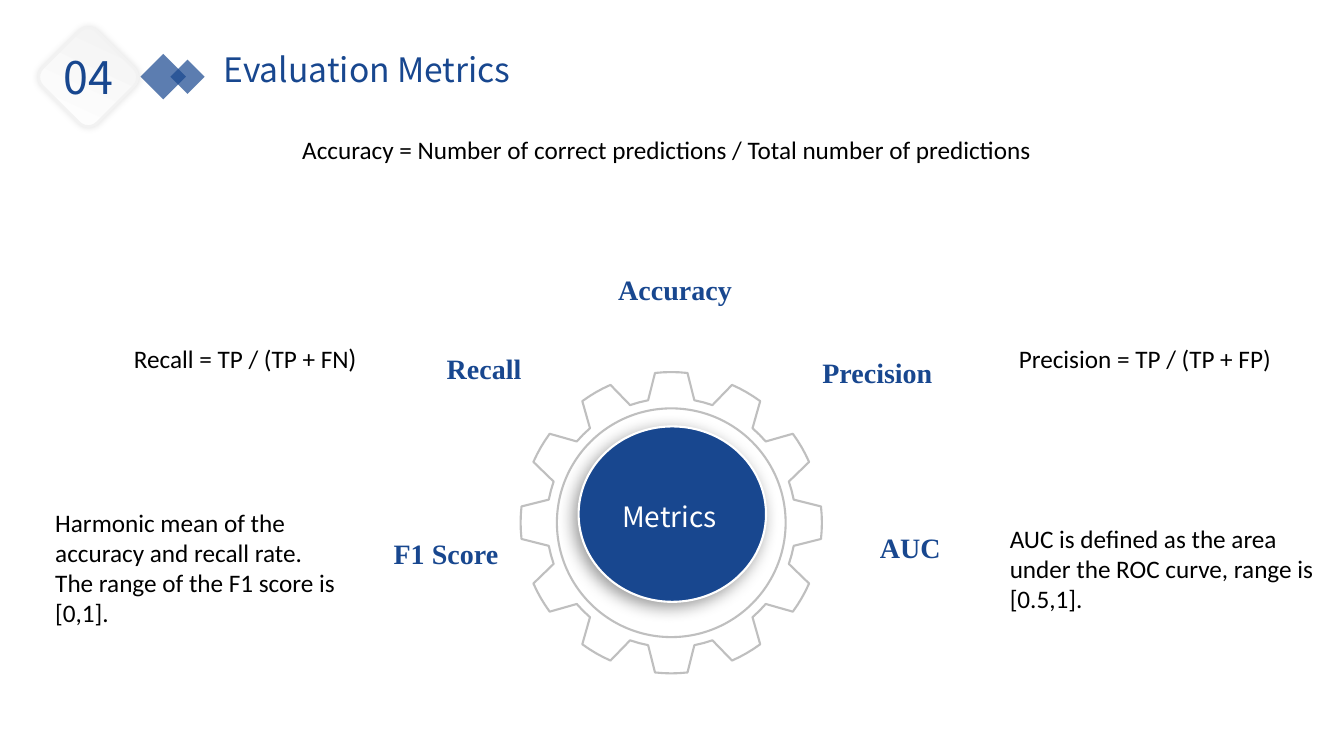
from math import cos, radians, sin

from lxml import etree
from pptx import Presentation
from pptx.dml.color import RGBColor
from pptx.enum.shapes import MSO_SHAPE
from pptx.enum.text import MSO_ANCHOR, PP_ALIGN
from pptx.oxml.ns import qn
from pptx.util import Pt

LEFT, CENTER, RIGHT = PP_ALIGN.LEFT, PP_ALIGN.CENTER, PP_ALIGN.RIGHT
TOP, MIDDLE = MSO_ANCHOR.TOP, MSO_ANCHOR.MIDDLE
RECTANGLE, OVAL = MSO_SHAPE.RECTANGLE, MSO_SHAPE.OVAL
ROUNDED = MSO_SHAPE.ROUNDED_RECTANGLE

BLUE = RGBColor(0x18, 0x47, 0x8F)
WHITE = RGBColor(0xFF, 0xFF, 0xFF)
BLACK = RGBColor(0, 0, 0)
GRAY = RGBColor(0xBF, 0xBF, 0xBF)
PALE = RGBColor(0xF2, 0xF2, 0xF2)
HEADING, LABEL, BODY, BRACKET = "Noto Sans CJK SC", "Times New Roman", "Calibri", "Lato"

TITLE = ("Evaluation Metrics", (152.6, 31, 234, 36))
NUMBER = ("04", (38.2, 31.7, 52.6, 46))
HUB = ("Metrics", (410.4, 338.4, 135.4, 60.5))
LABEL_SIZE = (245.5, 48.2)
LABELS = [
    ("F1 Score", 195.8, 367.2, CENTER),
    ("Precision", 580.3, 238.3, LEFT),
    ("Recall", 134, 235.4, RIGHT),
    ("Accuracy", 284.4, 179.3, RIGHT),
]
AUC = ("AUC", (621.4, 375.1, 63.4, 31.7))
FORMULAS = [
    ("Recall = TP / (TP + FN", ")", (88.6, 241.9, 175.7, 28.8)),
    ("Accuracy = Number of correct predictions / Total number of predictions", "",
     (208.8, 92.2, 541.4, 28.8)),
    ("Precision = TP / (TP + FP)", "", (720.7, 241.9, 196.6, 28.8)),
]
NOTES = [
    ("Harmonic mean of the accuracy and recall rate.\nThe range of the F1 score is [0,1].",
     (32.4, 358.6, 242.6, 94.3)),
    ("AUC is defined as the area under the ROC curve, range is [0.5,1].",
     (714.2, 370.1, 245.5, 72.7)),
]
DIAMONDS = [(105.1, 43.2, 23), (125.3, 46.1, 17.3)]

GEAR_X, GEAR_Y = 479.5, 373.4
TEETH, TIP_RADIUS, ROOT_RADIUS, RING_RADIUS = 12, 107.6, 89, 81.7
TOOTH = [(-10.7, ROOT_RADIUS), (-6.2, TIP_RADIUS), (-3, TIP_RADIUS), (0, TIP_RADIUS),
         (3, TIP_RADIUS), (6.2, TIP_RADIUS), (10.7, ROOT_RADIUS), (15, ROOT_RADIUS)]


def points(box):
    return [Pt(length) for length in box]


def write_text(shape, text, font=BODY, size=18, color=BLACK, bold=False, align=LEFT,
               anchor=TOP, wrap=True, spacing=None):
    frame = shape.text_frame
    frame.text = text
    frame.word_wrap = wrap
    frame.vertical_anchor = anchor
    for paragraph in frame.paragraphs:
        paragraph.alignment = align
        paragraph.line_spacing = spacing
        for run in paragraph.runs:
            run.font.name, run.font.size, run.font.bold = font, Pt(size), bold
            run.font.color.rgb = color
    return frame.paragraphs[-1]


def add_text(slide, text, box, **style):
    return write_text(slide.shapes.add_textbox(*points(box)), text, **style)


def add_figure(slide, kind, box, rotation=0):
    shape = slide.shapes.add_shape(kind, *points(box))
    shape.rotation = rotation
    shape.shadow.inherit = False
    return shape


def set_outline(shape, color, width):
    shape.line.color.rgb = color
    shape.line.width = Pt(width)


def add_alpha(color_element, percent):
    etree.SubElement(color_element, qn("a:alpha"), val=str(percent * 1000))


def add_shadow(shape, alpha, blur, distance, angle):
    effects = shape.element.spPr.find(qn("a:effectLst"))
    shadow = etree.SubElement(effects, qn("a:outerShdw"), blurRad=str(Pt(blur)),
                              dist=str(Pt(distance)), dir=str(angle * 60000),
                              algn="ctr", rotWithShape="0")
    add_alpha(etree.SubElement(shadow, qn("a:srgbClr"), val="000000"), alpha)


def add_gear(slide):
    outline = []
    for tooth in range(TEETH):
        for offset, radius in TOOTH:
            angle = radians(tooth * 360 / TEETH + offset)
            outline.append((Pt(GEAR_X + radius * sin(angle)),
                            Pt(GEAR_Y - radius * cos(angle))))
    builder = slide.shapes.build_freeform(*outline[0])
    builder.add_line_segments(outline[1:], close=True)
    gear = builder.convert_to_shape()
    gear.shadow.inherit = False
    ring = add_figure(slide, OVAL, (GEAR_X - RING_RADIUS, GEAR_Y - RING_RADIUS,
                                    2 * RING_RADIUS, 2 * RING_RADIUS))
    for shape in (gear, ring):
        shape.fill.background()
        set_outline(shape, GRAY, 1.5)


def add_hub(slide):
    hub = add_figure(slide, OVAL, (413.3, 304.6, 133.9, 125.3))
    hub.fill.solid()
    hub.fill.fore_color.rgb = BLUE
    set_outline(hub, WHITE, 1.5)
    add_shadow(hub, 40, 12, 4, 135)
    text, box = HUB
    add_text(slide, text, box, font=HEADING, size=20, color=WHITE, align=CENTER, anchor=MIDDLE)


def add_header(slide):
    for left, top, side in DIAMONDS:
        diamond = add_figure(slide, RECTANGLE, (left, top, side, side), 225)
        diamond.fill.solid()
        diamond.fill.fore_color.rgb = BLUE
        add_alpha(diamond.element.spPr.find(qn("a:solidFill"))[0], 70)
        diamond.line.fill.background()
    text, box = TITLE
    title = slide.shapes.title
    title.left, title.top, title.width, title.height = points(box)
    write_text(title, text, font=HEADING, size=24, color=BLUE)
    badge = add_figure(slide, ROUNDED, (35.3, 27.4, 55.4, 55.4), 45)
    badge.fill.gradient()
    badge.fill.gradient_angle = 110
    for stop, color in zip(badge.fill.gradient_stops, (WHITE, PALE)):
        stop.color.rgb = color
    set_outline(badge, PALE, 2)
    add_shadow(badge, 11, 5, 0, 0)
    text, box = NUMBER
    add_text(slide, text, box, font=HEADING, size=32, color=BLUE, wrap=False)


def add_metrics(slide):
    label_style = dict(font=LABEL, size=20, color=BLUE, bold=True)
    for text, left, top, align in LABELS:
        add_text(slide, text, (left, top, *LABEL_SIZE), align=align, anchor=MIDDLE,
                 spacing=1.3, **label_style)
    text, box = AUC
    add_text(slide, text, box, wrap=False, **label_style)
    for text, ending, box in FORMULAS:
        paragraph = add_text(slide, text, box, wrap=False)
        if ending:
            run = paragraph.add_run()
            run.text = ending
            run.font.name, run.font.size = BRACKET, Pt(18)
            run.font.color.rgb = BLACK
    for text, box in NOTES:
        add_text(slide, text, box)


def main():
    presentation = Presentation()
    presentation.slide_width, presentation.slide_height = Pt(960), Pt(540)
    slide = presentation.slides.add_slide(presentation.slide_layouts[5])
    add_gear(slide)
    add_hub(slide)
    add_header(slide)
    add_metrics(slide)
    presentation.save("out.pptx")


if __name__ == "__main__":
    main()
